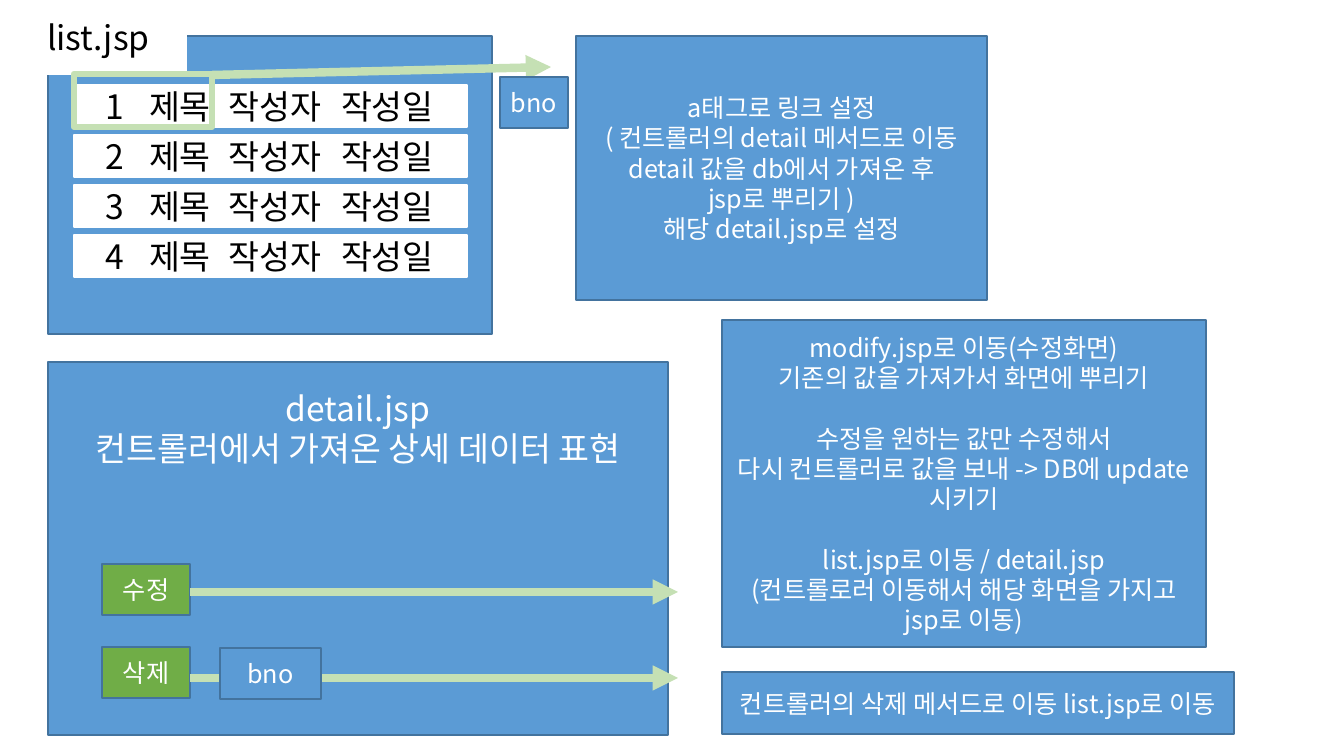
"""Build the slide that maps the list, detail, modify and delete page flow."""

from dataclasses import dataclass

from lxml.etree import SubElement
from pptx import Presentation
from pptx.dml.color import RGBColor
from pptx.enum.shapes import MSO_CONNECTOR as Connector
from pptx.enum.shapes import MSO_SHAPE as Preset
from pptx.enum.text import MSO_ANCHOR as Anchor
from pptx.enum.text import PP_ALIGN as Align
from pptx.oxml.ns import qn
from pptx.slide import Slide
from pptx.util import Emu, Pt

EMU_PER_PIXEL = 914400 / 100.8
TAB_STOPS = (43, 123, 235)


@dataclass(frozen=True)
class Theme:
    """Colours, font and sizes shared by the whole slide."""

    font: str = "Noto Sans CJK KR"
    blue: str = "5B9BD5"
    edge: str = "43739E"
    green: str = "70AD47"
    pale: str = "C5E0B4"
    white: str = "FFFFFF"
    black: str = "000000"
    body: int = 18
    heading: int = 24
    blank_line: float = 21.6
    thin: float = 1
    frame: float = 4.5
    arrow: float = 6


THEME = Theme()


@dataclass(frozen=True)
class Block:
    """A rectangle with optional text, measured in pixels."""

    left: int
    top: int
    width: int
    height: int
    lines: tuple[str, ...] = ()
    fill: str | None = THEME.blue
    edge: str = THEME.edge
    weight: float = THEME.thin
    ink: str = THEME.white
    size: int = THEME.body
    spaced: tuple[int, ...] = ()
    top_inset: int | None = None
    tab_inset: int | None = None


@dataclass(frozen=True)
class Arrow:
    """A straight arrow between two points, measured in pixels."""

    x1: int
    y1: int
    x2: int
    y2: int


def px(pixels: float) -> Emu:
    """Convert pixels to EMU."""
    return Emu(round(pixels * EMU_PER_PIXEL))


def rgb(colour: str) -> RGBColor:
    """Convert a hex string to a colour."""
    return RGBColor.from_string(colour)


def write_text(box, block: Block) -> None:
    """Fill a box with the lines of its block."""
    frame = box.text_frame
    frame.word_wrap = True
    frame.vertical_anchor = Anchor.MIDDLE
    if block.top_inset is not None:
        frame.vertical_anchor = Anchor.TOP
        frame.margin_top = px(block.top_inset)
    if block.tab_inset is not None:
        frame.margin_left = px(block.tab_inset)
    frame.text = "\n".join(block.lines)
    for index, para in enumerate(frame.paragraphs):
        para.alignment = Align.CENTER if block.tab_inset is None else Align.LEFT
        if index in block.spaced:
            para.space_before = Pt(THEME.blank_line)
        para.font.size = Pt(block.size)
        para.font.color.rgb = rgb(block.ink)
        para.font.name = THEME.font
        properties = para._p.get_or_add_pPr()
        defaults = properties.find(qn("a:defRPr"))
        SubElement(defaults, qn("a:ea"), typeface=THEME.font)
        if block.tab_inset is not None:
            tabs = SubElement(properties, qn("a:tabLst"))
            for stop in TAB_STOPS:
                SubElement(tabs, qn("a:tab"), pos=str(px(stop)), algn="l")
            defaults.addprevious(tabs)


def draw_block(page: Slide, block: Block) -> None:
    """Draw one rectangle and its text."""
    place = map(px, (block.left, block.top, block.width, block.height))
    box = page.shapes.add_shape(Preset.RECTANGLE, *place)
    box.shadow.inherit = False
    if block.fill:
        box.fill.solid()
        box.fill.fore_color.rgb = rgb(block.fill)
    else:
        box.fill.background()
    box.line.color.rgb = rgb(block.edge)
    box.line.width = Pt(block.weight)
    if block.lines:
        write_text(box, block)


def draw_arrow(page: Slide, arrow: Arrow) -> None:
    """Draw one pale arrow."""
    ends = map(px, (arrow.x1, arrow.y1, arrow.x2, arrow.y2))
    line = page.shapes.add_connector(Connector.STRAIGHT, *ends)
    line.line.color.rgb = rgb(THEME.pale)
    line.line.width = Pt(THEME.arrow)
    SubElement(line.line._get_or_add_ln(), qn("a:tailEnd"), type="triangle")
    SubElement(line._element.spPr, qn("a:effectLst"))


def white_block(left: int, top: int, width: int, height: int,
                text: str, tab_inset: int | None = None) -> Block:
    """Describe a white box with black heading text."""
    return Block(left, top, width, height, (text,), fill=THEME.white,
                 edge=THEME.white, ink=THEME.black, size=THEME.heading,
                 tab_inset=tab_inset)


LIST_PANEL = Block(48, 36, 444, 298)
LIST_TITLE = white_block(11, 0, 175, 74, "list.jsp")
LIST_ROWS = [
    white_block(74, 85 + 50 * index, 393, 42,
                f"{index + 1}\t제목\t작성자\t작성일", tab_inset=32)
    for index in range(4)
]
ROW_HIGHLIGHT = Block(74, 74, 138, 53, fill=None, edge=THEME.pale,
                      weight=THEME.frame)
LINK_NOTE = Block(576, 36, 411, 264, (
    "a태그로 링크 설정",
    "( 컨트롤러의 detail 메서드로 이동",
    "detail 값을 db에서 가져온 후",
    "jsp로 뿌리기 )",
    "해당 detail.jsp로 설정",
))
DETAIL_PANEL = Block(48, 362, 620, 373, (
    "detail.jsp",
    "컨트롤러에서 가져온 상세 데이터 표현",
), size=THEME.heading, top_inset=26)
BUTTONS = [
    Block(102, top, 88, 51, (label,), fill=THEME.green)
    for top, label in ((564, "수정"), (647, "삭제"))
]
MODIFY_NOTE = Block(722, 320, 484, 327, (
    "modify.jsp로 이동(수정화면)",
    "기존의 값을 가져가서 화면에 뿌리기",
    "수정을 원하는 값만 수정해서",
    "다시 컨트롤러로 값을 보내 -> DB에 update 시키기",
    "list.jsp로 이동 / detail.jsp",
    "(컨트롤로러 이동해서 해당 화면을 가지고 jsp로 이동)",
), spaced=(2, 4))
DELETE_NOTE = Block(722, 672, 512, 62,
                    ("컨트롤러의 삭제 메서드로 이동 list.jsp로 이동",))
DELETE_KEY = Block(220, 648, 101, 51, ("bno",))
LINK_KEY = Block(500, 77, 68, 51, ("bno",))
LINK_ARROW = Arrow(212, 75, 551, 67)
BUTTON_ARROWS = [Arrow(190, y, 678, y) for y in (592, 678)]

LAYERS = [
    LIST_PANEL, LIST_TITLE, *LIST_ROWS, ROW_HIGHLIGHT, LINK_ARROW, LINK_NOTE,
    DETAIL_PANEL, *BUTTONS, *BUTTON_ARROWS, MODIFY_NOTE, DELETE_KEY,
    DELETE_NOTE, LINK_KEY,
]


def main() -> None:
    """Build and save the deck."""
    deck = Presentation()
    deck.slide_width, deck.slide_height = px(1344), px(756)
    page = deck.slides.add_slide(deck.slide_layouts[6])
    for item in LAYERS:
        if isinstance(item, Arrow):
            draw_arrow(page, item)
        else:
            draw_block(page, item)
    deck.save("out.pptx")


main()
